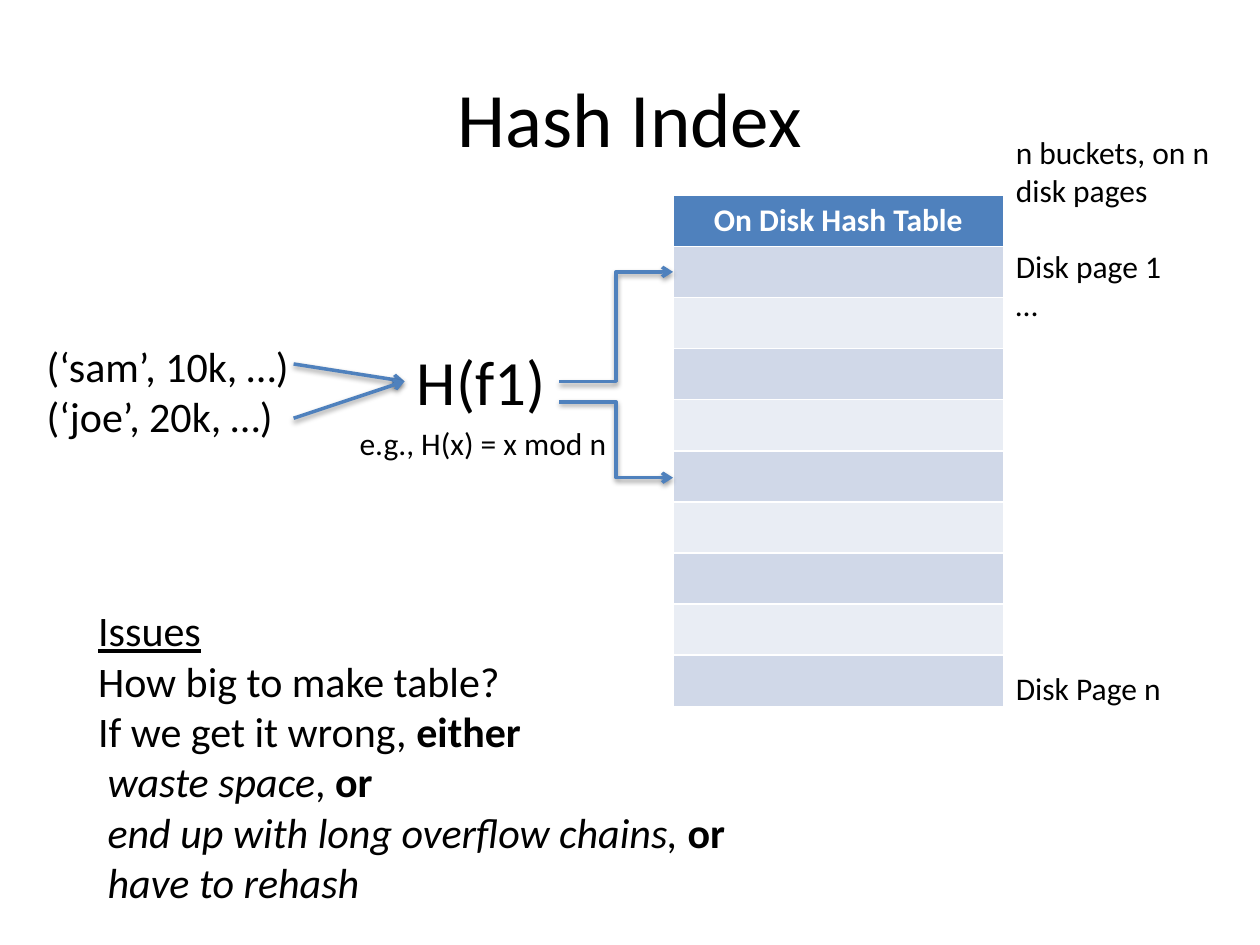
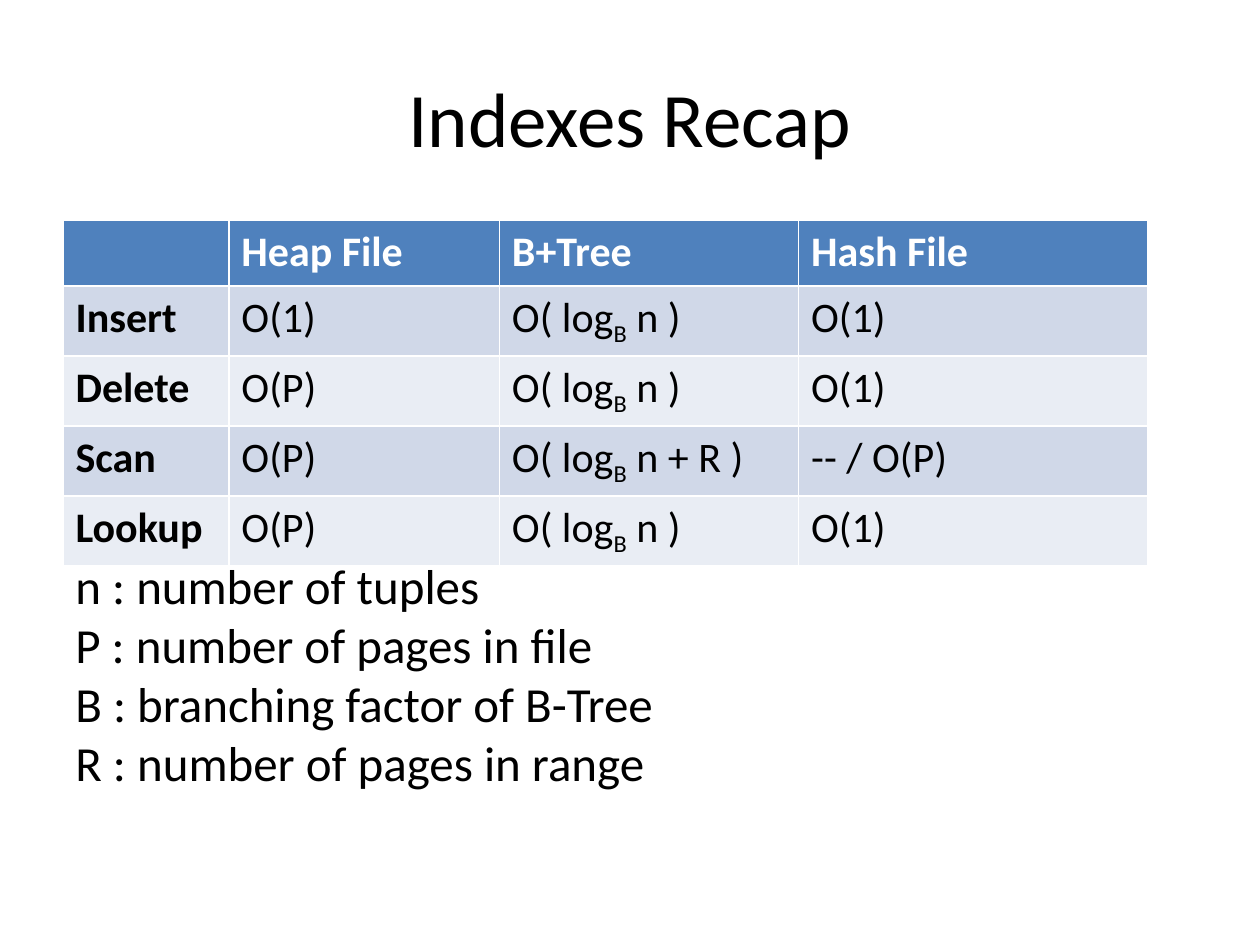
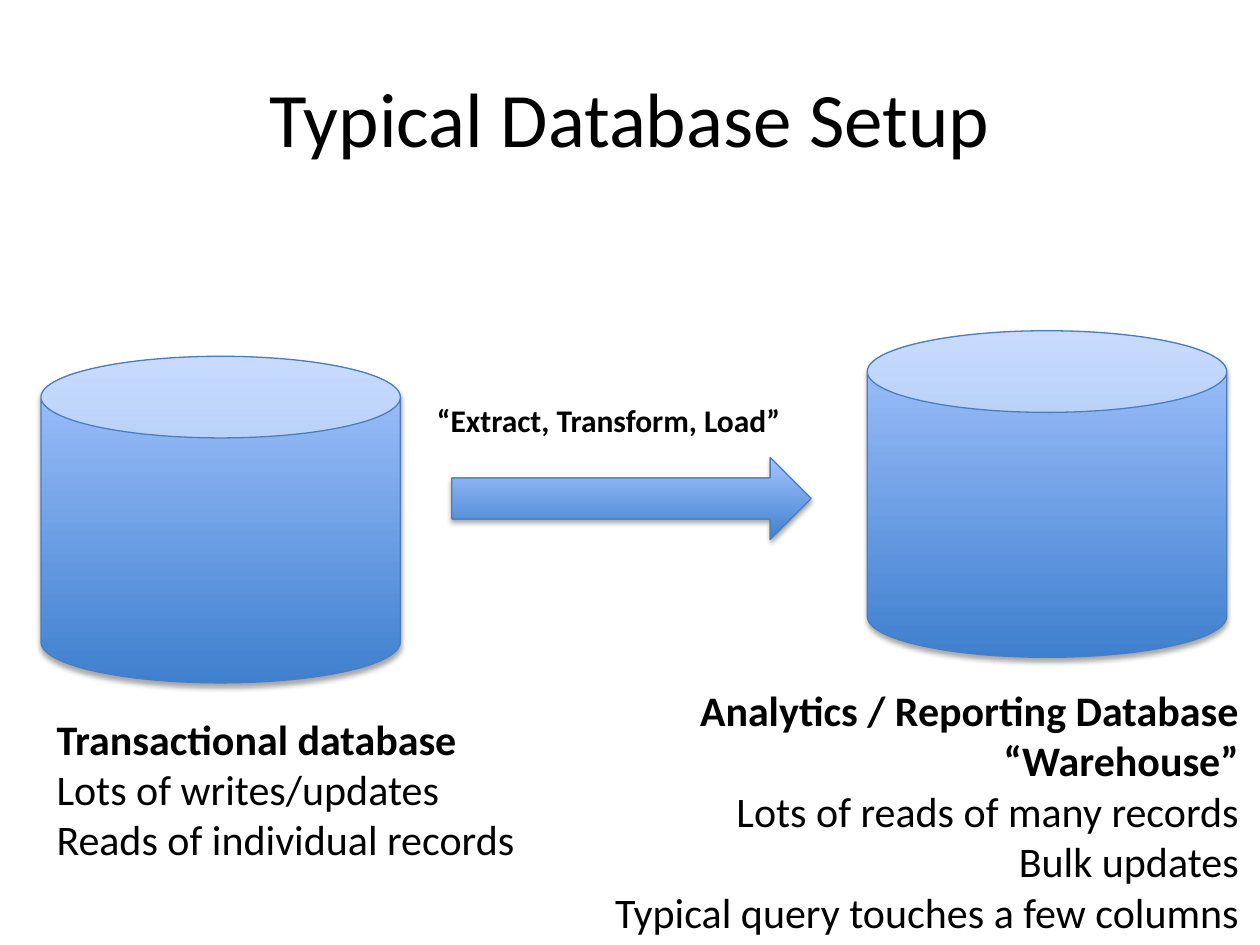
from lxml import etree
from pptx import Presentation
from pptx.dml.color import RGBColor
from pptx.enum.shapes import MSO_CONNECTOR, MSO_SHAPE
from pptx.enum.text import MSO_ANCHOR, PP_ALIGN
from pptx.oxml import parse_xml
from pptx.oxml.ns import nsdecls, qn
from pptx.util import Pt

LEFT, CENTER, RIGHT = PP_ALIGN.LEFT, PP_ALIGN.CENTER, PP_ALIGN.RIGHT
MIDDLE = MSO_ANCHOR.MIDDLE
STRAIGHT, ELBOW = MSO_CONNECTOR.STRAIGHT, MSO_CONNECTOR.ELBOW
CAN, ARROW = MSO_SHAPE.CAN, MSO_SHAPE.RIGHT_ARROW

FONT = "Calibri"
COLORS = {
    "text": "000000",
    "header_text": "FFFFFF",
    "accent": "4F81BD",
    "band_dark": "D0D8E8",
    "band_light": "E9EDF4",
    "outline": "4B7EBC",
    "grad_dark": "3F80CE",
    "grad_light": "A4C4FF",
}
RGB = {name: RGBColor.from_string(value) for name, value in COLORS.items()}


def write_text(tf, paragraphs, size, align=LEFT, color="text"):
    """A paragraph is a list of (text, style) runs; style letters: b, i, u, s (subscript)."""
    for n, runs in enumerate(paragraphs):
        p = tf.paragraphs[0] if n == 0 else tf.add_paragraph()
        p.alignment = align
        p.font.name, p.font.size = FONT, Pt(size)
        p.font.color.rgb = RGB[color]
        for text, style in runs:
            r = p.add_run()
            r.text = text
            font = p.font if len(runs) == 1 else r.font
            if "b" in style:
                font.bold = True
            if "i" in style:
                font.italic = True
            if "u" in style:
                font.underline = True
            if "s" in style:
                r._r.get_or_add_rPr().set("baseline", "-25000")


def add_text(slide, box, paragraphs, size, align=LEFT):
    sp = slide.shapes.add_textbox(*[Pt(v) for v in box])
    sp.text_frame.word_wrap = True
    write_text(sp.text_frame, paragraphs, size, align)
    return sp


prs = Presentation()
prs.slide_width, prs.slide_height = Pt(720), Pt(540)

# Slides with their shared title style
slides = []
for title in ("Hash Index", "Indexes Recap", "Typical Database Setup"):
    s = prs.slides.add_slide(prs.slide_layouts[6])
    sp = add_text(s, (36, 21.6, 648, 90), [[(title, "")]], 44, CENTER)
    sp.text_frame.vertical_anchor = MIDDLE
    slides.append(s)
hash_slide, recap_slide, setup_slide = slides
shadowed = []  # (shape, opacity in percent, distance in points)

# Hash Index: bucket table
ROW = 29.2
table = hash_slide.shapes.add_table(10, 1, Pt(384.6), Pt(111.6), Pt(189), Pt(10 * ROW)).table
for n, row in enumerate(table.rows):
    row.height = Pt(ROW)
    cell = row.cells[0]
    cell.fill.solid()
    cell.fill.fore_color.rgb = RGB["accent" if n == 0 else "band_dark" if n % 2 else "band_light"]
write_text(table.cell(0, 0).text_frame, [[("On Disk Hash Table", "b")]], 18, CENTER, "header_text")

# Hash Index: page labels, spaced to line up with the table rows
LINE = 22
pages = add_text(hash_slide, (573.4, 72.6, 130.4, 334), [
    [("n buckets, on n disk pages", "")],
    [("Disk page 1", "")],
    [("…", "")],
    [("Disk Page n", "")],
], 18)
pages.text_frame.paragraphs[1].space_before = Pt(LINE)
pages.text_frame.paragraphs[3].space_before = Pt(9 * LINE)

# Hash Index: tuples and hash function
hash_box = add_text(hash_slide, (231.2, 192.4, 88.4, 51), [[("H(f1)", "")]], 36)
add_text(hash_slide, (19.6, 190.8, 167, 65.4),
         [[("(‘sam’, 10k, …)", "")], [("(‘joe’, 20k, …)", "")]], 24)
example = add_text(hash_slide, (198.4, 238.8, 157, 29), [[("e.g., H(x) = x mod n", "")]], 18)
example.text_frame.word_wrap = False

# Hash Index: arrows from tuples to function and on to buckets
for kind, x1, y1, x2, y2 in (
    (STRAIGHT, 167.8, 208, 231.2, 217.9),
    (STRAIGHT, 167.8, 239, 231.2, 217.9),
    (ELBOW, 319.6, 217.9, 384.6, 155.4),
    (ELBOW, 319.6, 229.8, 384.6, 273),
):
    line = hash_slide.shapes.add_connector(kind, Pt(x1), Pt(y1), Pt(x2), Pt(y2))
    if kind == STRAIGHT:
        line.end_connect(hash_box, 1)
    line.line.color.rgb = RGB["accent"]
    line.line.width = Pt(2)
    etree.SubElement(line.line._get_or_add_ln(), qn("a:tailEnd"), type="arrow")
    shadowed.append((line, 38, 1.6))

# Hash Index: issues
issues = add_text(hash_slide, (49, 342, 383.8, 181.4), [
    [("Issues", "u")],
    [("How big to make table?", "")],
    [("If we get it wrong, ", ""), ("either", "b")],
    [("waste space", "i"), (", ", ""), ("or", "b")],
    [("end up with long overflow chains, ", "i"), ("or", "b")],
    [("have to rehash", "i")],
], 24)
for p in issues.text_frame.paragraphs[3:]:
    p._p.get_or_add_pPr().set("marL", str(Pt(5.4)))

# Indexes Recap: cost table
LOG_N = [("O( log", ""), ("B", "s"), (" n )", "")]
LOG_N_R = [("O( log", ""), ("B", "s"), (" n + R )", "")]
ONE, P_PAGES = [("O(1)", "")], [("O(P)", "")]
costs = [
    [[], [("Heap File", "b")], [("B+Tree", "b")], [("Hash File", "b")]],
    [[("Insert", "b")], ONE, LOG_N, ONE],
    [[("Delete", "b")], P_PAGES, LOG_N, ONE],
    [[("Scan", "b")], P_PAGES, LOG_N_R, [("-- / O(P)", "")]],
    [[("Lookup", "b")], P_PAGES, LOG_N, ONE],
]
widths, heights = (94.8, 154.6, 171, 199.4), (37.4, 29.2, 29.2, 29.2, 29.2)
table = recap_slide.shapes.add_table(5, 4, Pt(36), Pt(126), Pt(sum(widths)), Pt(sum(heights))).table
for col, width in zip(table.columns, widths):
    col.width = Pt(width)
for n, (row, height, entries) in enumerate(zip(table.rows, heights, costs)):
    row.height = Pt(height)
    for cell, runs in zip(row.cells, entries):
        cell.fill.solid()
        cell.fill.fore_color.rgb = RGB["accent" if n == 0 else "band_dark" if n % 2 else "band_light"]
        write_text(cell.text_frame, [runs], 24, LEFT, "text" if n else "header_text")

# Indexes Recap: legend
add_text(recap_slide, (36, 314, 462, 143.2), [
    [("n : number of tuples", "")],
    [("P : number of pages in file", "")],
    [("B : branching factor of B-Tree", "")],
    [("R : number of pages in range", "")],
], 28)

# Typical Database Setup: two databases and the load arrow
for kind, x, y, h in ((CAN, 23.4, 203.6, 186.6), (CAN, 495.6, 189, 186.6), (ARROW, 258.2, 261.4, 47)):
    sp = setup_slide.shapes.add_shape(kind, Pt(x), Pt(y), Pt(205.4), Pt(h))
    sp.fill.gradient()
    sp.fill.gradient_angle = 90
    for stop, name in zip(sp.fill.gradient_stops, ("grad_dark", "grad_light")):
        stop.color.rgb = RGB[name]
    sp.line.color.rgb = RGB["outline"]
    sp.line.width = Pt(0.75)
    shadowed.append((sp, 35, 1.8))

# Typical Database Setup: captions
add_text(setup_slide, (242.6, 225.4, 241.2, 29), [[("“Extract, Transform, Load”", "b")]], 18)
add_text(setup_slide, (25.2, 404, 342.8, 94.4), [
    [("Transactional database", "b")],
    [("Lots of writes/updates", "")],
    [("Reads of individual records", "")],
], 24)
add_text(setup_slide, (339.8, 387.6, 375.2, 152.4), [
    [("Analytics / Reporting Database", "b")],
    [("“Warehouse”", "b")],
    [("Lots of reads of many records", "")],
    [("Bulk updates", "")],
    [("Typical query touches a few columns", "")],
], 24, RIGHT)

# Soft shadows below arrows and databases
for sp, opacity, distance in shadowed:
    sp._element.spPr.append(parse_xml(
        f'<a:effectLst {nsdecls("a")}><a:outerShdw blurRad="{Pt(3.1)}" dist="{Pt(distance)}" '
        f'dir="5400000" rotWithShape="0"><a:srgbClr val="{COLORS["text"]}">'
        f'<a:alpha val="{opacity * 1000}"/></a:srgbClr></a:outerShdw></a:effectLst>'))

prs.save("out.pptx")
